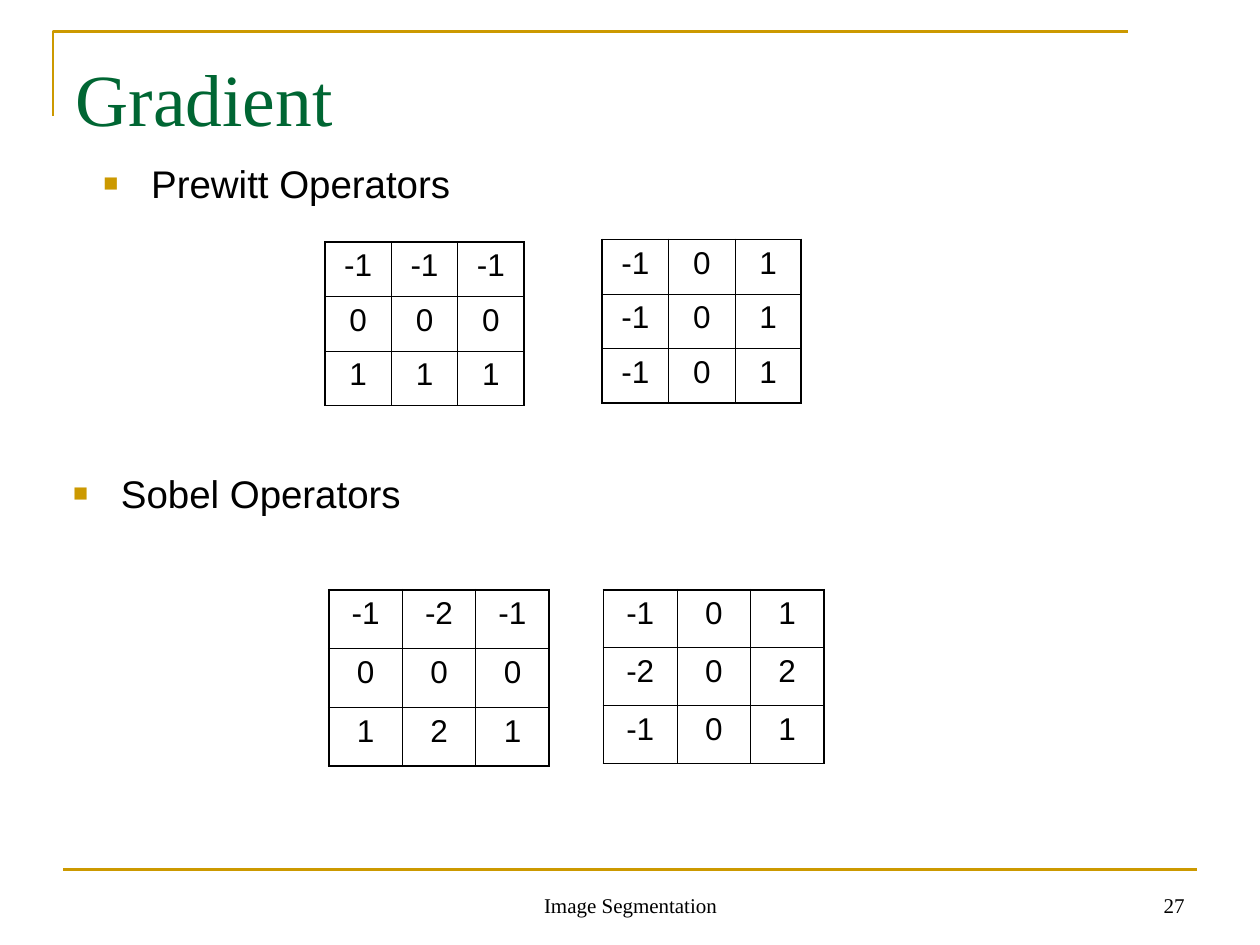
"""Build the Gradient slide with the Prewitt and Sobel operator masks."""
from lxml.etree import SubElement
from pptx import Presentation
from pptx.dml.color import RGBColor
from pptx.enum.shapes import MSO_CONNECTOR as CONN
from pptx.enum.text import MSO_ANCHOR as ANCHOR, MSO_AUTO_SIZE as AUTO, PP_ALIGN as ALIGN
from pptx.oxml.ns import qn
from pptx.util import Inches, Pt

TITLE = "Gradient"
BULLETS = [("Prewitt Operators", 0.72, 1.19), ("Sobel Operators", 0.48, 3.65)]
FOOTERS = [
    ("Image Segmentation", 3.42, 3.17, ALIGN.CENTER),
    ("27", 7.17, 2.33, ALIGN.RIGHT),
]
MASKS = [
    ((4.78, 1.9, 1.58, 1.3), [(-1, 0, 1), (-1, 0, 1), (-1, 0, 1)]),
    ((2.58, 1.92, 1.58, 1.3), [(-1, -1, -1), (0, 0, 0), (1, 1, 1)]),
    ((4.79, 4.68, 1.75, 1.38), [(-1, 0, 1), (-2, 0, 2), (-1, 0, 1)]),
    ((2.61, 4.68, 1.75, 1.4), [(-1, -2, -1), (0, 0, 0), (1, 2, 1)]),
]
CORNER = [(0.42, 0.92), (0.42, 0.25), (8.95, 0.25)]
RULE = (0.5, 6.9, 9.5, 6.9)
THEME = {
    "gold": "CC9900", "green": "006633", "black": "000000",
    "serif": "Times New Roman", "sans": "Arial",
    "title": 42, "bullet": 22, "cell": 18, "footer": 12,
    "rule": 1.5, "outer": 1.08, "inner": 0.45,
}


def write(tf, text, size, font="sans", color="black", align=ALIGN.LEFT,
          anchor=ANCHOR.TOP, top=0.05, bullet=False):
    tf.word_wrap, tf.auto_size, tf.vertical_anchor = True, AUTO.NONE, anchor
    tf.margin_left = tf.margin_right = Inches(0.1)
    tf.margin_top, tf.margin_bottom = Inches(top), Inches(0.05)
    p = tf.paragraphs[0]
    p.alignment, p.space_before = align, Pt(0)
    if bullet:
        add_bullet(p)
    style_run(p, text, size, font, color)


def style_run(p, text, size, font="sans", color="black"):
    r = p.add_run()
    r.text = text
    r.font.size, r.font.name = Pt(THEME[size]), THEME[font]
    r.font.color.rgb = RGBColor.from_string(THEME[color])


def add_bullet(p):
    pPr = p._p.get_or_add_pPr()
    pPr.set("marL", str(Inches(0.38)))
    pPr.set("indent", str(Inches(-0.38)))
    SubElement(SubElement(pPr, qn("a:buClr")), qn("a:srgbClr"), val=THEME["gold"])
    SubElement(pPr, qn("a:buSzPct"), val="65000")
    SubElement(pPr, qn("a:buFont"), typeface=THEME["sans"])
    SubElement(pPr, qn("a:buChar"), char="■")


def place(sp, left, top, width, height):
    sp.left, sp.top, sp.width, sp.height = map(Inches, (left, top, width, height))


def style_line(sp):
    sp.line.color.rgb = RGBColor.from_string(THEME["gold"])
    sp.line.width = Pt(THEME["rule"])


def add_border(cell, side, width):
    ln = SubElement(cell._tc.get_or_add_tcPr(), qn(f"a:ln{side}"), w=str(Pt(THEME[width])))
    SubElement(SubElement(ln, qn("a:solidFill")), qn("a:srgbClr"), val=THEME["black"])


def add_mask(s, box, values):
    n = len(values)
    table = s.shapes.add_table(n, n, *map(Inches, box)).table
    table.first_row = table.horz_banding = False
    for i, row in enumerate(values):
        for j, value in enumerate(row):
            cell = table.cell(i, j)
            edges = {"L": j == 0, "R": j == n - 1, "T": i == 0, "B": i == n - 1}
            for side, outside in edges.items():
                add_border(cell, side, "outer" if outside else "inner")
            cell.fill.background()
            p = cell.text_frame.paragraphs[0]
            p.alignment = ALIGN.CENTER
            style_run(p, str(value), "cell")


def add_rules(s):
    start, *rest = [(Inches(x), Inches(y)) for x, y in CORNER]
    builder = s.shapes.build_freeform(*start)
    builder.add_line_segments(rest, close=False)
    corner = builder.convert_to_shape()
    corner.fill.background()
    corner.shadow.inherit = False
    rule = s.shapes.add_connector(CONN.STRAIGHT, *map(Inches, RULE))
    for sp in (corner, rule):
        style_line(sp)
    SubElement(rule._element.spPr, qn("a:effectLst"))


def main():
    prs = Presentation()
    prs.slide_width, prs.slide_height = Inches(10), Inches(7.5)
    s = prs.slides.add_slide(prs.slide_layouts[3])
    title, *bodies = s.placeholders
    add_rules(s)
    for text, left, width, align in FOOTERS:
        sp = s.shapes.add_textbox(*map(Inches, (left, 6.83, width, 0.5)))
        write(sp.text_frame, text, "footer", font="serif", align=align, anchor=ANCHOR.BOTTOM)
    place(title, 0.5, 0.3, 9, 1.25)
    write(title.text_frame, TITLE, "title", font="serif", color="green", top=0.12)
    for sp, (text, left, top) in zip(bodies, BULLETS):
        place(sp, left, top, 8.62, 0.49)
        write(sp.text_frame, text, "bullet", top=0.08, bullet=True)
    for box, values in MASKS:
        add_mask(s, box, values)
    prs.save("out.pptx")


if __name__ == "__main__":
    main()
